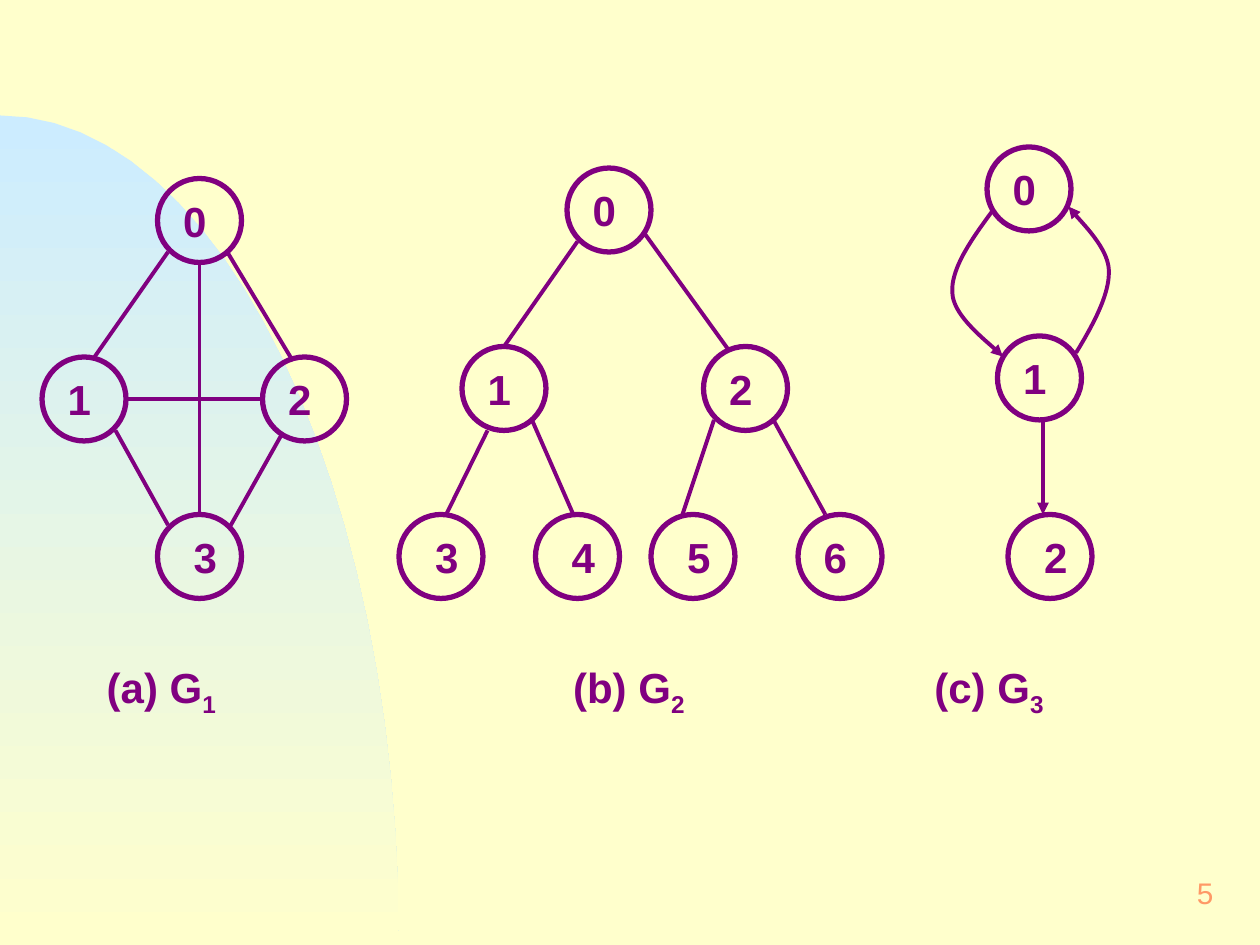
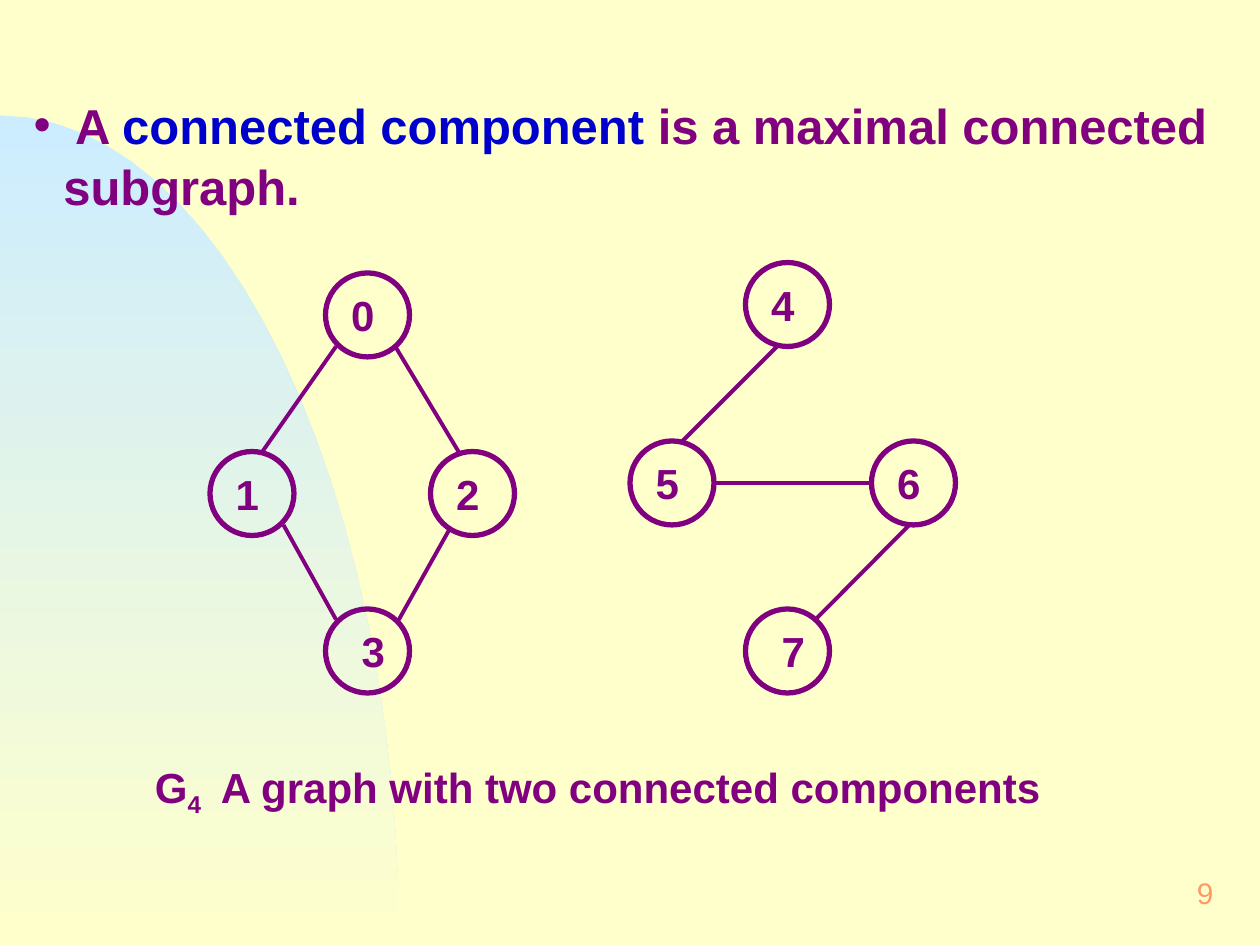
"""Build two slides of graph diagrams: three example graphs and connected components."""
from lxml import etree
from pptx import Presentation
from pptx.dml.color import RGBColor
from pptx.enum.shapes import MSO_CONNECTOR, MSO_SHAPE
from pptx.enum.text import MSO_ANCHOR, MSO_AUTO_SIZE, PP_ALIGN
from pptx.oxml.ns import qn
from pptx.util import Pt

STRAIGHT = MSO_CONNECTOR.STRAIGHT
ELLIPSE = MSO_SHAPE.OVAL
MIDDLE, TOP = MSO_ANCHOR.MIDDLE, MSO_ANCHOR.TOP
LEFT, RIGHT = PP_ALIGN.LEFT, PP_ALIGN.RIGHT
NO_AUTOFIT = MSO_AUTO_SIZE.NONE

CREAM = RGBColor(0xFF, 0xFF, 0xCC)
SKY = RGBColor(0xCC, 0xEC, 0xFF)
PURPLE = RGBColor(0x80, 0x00, 0x80)
BLUE = RGBColor(0x00, 0x00, 0xCC)
ORANGE = RGBColor(0xFF, 0x99, 0x66)

NODE_SIZE = 48
NEAR, FAR = 7.6, 13.6
CURVE_STEPS = 24
LABEL_FONT = {"name": "Arial", "size": Pt(24), "bold": True}
BODY_FONT = {"name": "Arial", "size": Pt(28), "bold": True}
NUMBER_FONT = {"name": "Arial", "size": Pt(17), "bold": False}
NO_MARGINS = {"margin_left": 0, "margin_top": 0, "margin_right": 0, "margin_bottom": 0}

DIAMOND_NODES = [("0", 90, 102, NEAR), ("1", 24, 204, NEAR),
                 ("2", 150, 204, NEAR), ("3", 90, 294, FAR)]
DIAMOND_SIDES = [(96, 144, 54, 204), (130.3, 144.7, 166.3, 204.5),
                 (66, 246, 96, 300), (161.3, 247.7, 131, 301.7)]
DIAMOND_DIAGONALS = [(114, 150, 114, 294), (150, 228, 72, 228)]
TREE_NODES = [("0", 324, 96, NEAR), ("1", 264, 198, NEAR), ("2", 402, 198, NEAR),
              ("3", 228, 294, FAR), ("4", 306, 294, FAR),
              ("5", 372, 294, FAR), ("6", 456, 294, NEAR)]
TREE_EDGES = [(330, 138, 288, 198), (368, 133, 416, 199.5), (278.6, 246, 255, 294),
              (304, 240, 327.6, 294), (408, 240, 390, 294), (442, 240, 471.6, 294)]
DIGRAPH_NODES = [("0", 564, 84, NEAR), ("1", 570, 192, NEAR), ("2", 576, 294, FAR)]
DIGRAPH_CURVES = [
    [(567.4, 120.2), (555.1, 136.8), (542.9, 154.1), (544.3, 167.8),
     (545, 182.2), (568.1, 198), (573.1, 203.8)],
    [(614.9, 201.6), (625, 185), (634.3, 167.8), (633.6, 154.1),
     (632.9, 139.7), (614.2, 123.8), (610.6, 118.1)],
]
CHAIN_NODES = [("4", 426, 150, NEAR), ("5", 360, 252, NEAR),
               ("6", 498, 252, NEAR), ("7", 426, 348, FAR)]
CHAIN_EDGES = [(444, 198, 390, 252), (408, 276, 498, 276), (519.6, 300, 466, 354)]


def apply(target, values):
    """Set each named attribute on the target."""
    for name, value in values.items():
        setattr(target, name, value)


def add_run(p, text, font, color=PURPLE, subscript=False):
    """Add a formatted run to a paragraph."""
    r = p.add_run()
    r.text = text
    apply(r.font, font)
    r.font.color.rgb = color
    if subscript:
        r.font._element.set("baseline", "-25000")


def add_text_box(slide, x, y, w, h, anchor=TOP):
    """Add a wrapping text box without margins and return its text frame."""
    tf = slide.shapes.add_textbox(Pt(x), Pt(y), Pt(w), Pt(h)).text_frame
    apply(tf, {"word_wrap": True, "vertical_anchor": anchor, **NO_MARGINS})
    return tf


def style_line(sp, width, arrow=False):
    """Colour an outline and optionally end it with an arrowhead."""
    sp.line.color.rgb = PURPLE
    sp.line.width = Pt(width)
    if arrow:
        ln = sp.line._get_or_add_ln()
        etree.SubElement(ln, qn("a:tailEnd"), type="triangle")


def add_node(slide, label, x, y, inset):
    """Add a numbered circle."""
    sp = slide.shapes.add_shape(ELLIPSE, Pt(x), Pt(y), Pt(NODE_SIZE), Pt(NODE_SIZE))
    sp.shadow.inherit = False
    sp.fill.background()
    style_line(sp, 3)
    tf = sp.text_frame
    apply(tf, {**NO_MARGINS, "margin_left": Pt(inset),
               "word_wrap": True, "vertical_anchor": MIDDLE})
    p = tf.paragraphs[0]
    p.alignment = LEFT
    add_run(p, label, LABEL_FONT)


def add_edge(slide, x1, y1, x2, y2, arrow=False):
    """Add a straight edge between two points."""
    cxn = slide.shapes.add_connector(STRAIGHT, Pt(x1), Pt(y1), Pt(x2), Pt(y2))
    style_line(cxn, 2.25, arrow)
    etree.SubElement(cxn._element.spPr, qn("a:effectLst"))


def add_graph(slide, nodes, edges, dx=0, dy=0):
    """Draw edges and nodes, shifted by an offset."""
    for x1, y1, x2, y2 in edges:
        add_edge(slide, x1 + dx, y1 + dy, x2 + dx, y2 + dy)
    for label, x, y, inset in nodes:
        add_node(slide, label, x + dx, y + dy, inset)


def bezier_points(controls):
    """Sample a chain of cubic curves that share their end points."""
    points = [controls[0]]
    for i in range(0, len(controls) - 1, 3):
        for step in range(1, CURVE_STEPS + 1):
            t = step / CURVE_STEPS
            weights = ((1 - t) ** 3, 3 * t * (1 - t) ** 2, 3 * t * t * (1 - t), t ** 3)
            quad = controls[i:i + 4]
            points.append(tuple(sum(w * c[axis] for w, c in zip(weights, quad))
                                for axis in (0, 1)))
    return points


def add_outline(slide, points, close=False):
    """Add a freeform through the points."""
    first, *rest = [(Pt(x), Pt(y)) for x, y in points]
    builder = slide.shapes.build_freeform(*first)
    builder.add_line_segments(rest, close=close)
    sp = builder.convert_to_shape()
    sp.shadow.inherit = False
    return sp


def add_curved_arrow(slide, controls):
    """Add a curved edge with an arrowhead."""
    sp = add_outline(slide, bezier_points(controls))
    sp.fill.background()
    style_line(sp, 2.25, arrow=True)


def decorate_master(prs, slide):
    """Give the master its background and its gradient arc."""
    master = prs.slide_master
    master.background.fill.solid()
    master.background.fill.fore_color.rgb = CREAM
    arc = bezier_points([(0, 66), (126, 66), (228, 278.6), (228, 540)])
    sp = add_outline(slide, arc + [(0, 540)], close=True)
    sp.line.fill.background()
    sp.fill.gradient()
    sp.fill.gradient_angle = 270
    for stop, color in zip(sp.fill.gradient_stops, (SKY, CREAM)):
        stop.color.rgb = color
    master.shapes.element.insert(2, sp.element)


def add_page_number(slide, number):
    """Add the page number at the lower right."""
    tf = add_text_box(slide, 552, 492, 141.4, 36, MIDDLE)
    p = tf.paragraphs[0]
    p.alignment = RIGHT
    add_run(p, number, NUMBER_FONT, ORANGE)


def add_caption(slide, x, y, w, name, index, description=""):
    """Add a graph name with a subscript and an optional description."""
    p = add_text_box(slide, x, y, w, 30).paragraphs[0]
    if description:
        tabs = etree.SubElement(p._p.get_or_add_pPr(), qn("a:tabLst"))
        etree.SubElement(tabs, qn("a:tab"), pos=str(Pt(37.7)), algn="l")
    add_run(p, name, LABEL_FONT)
    add_run(p, index, LABEL_FONT, subscript=True)
    if description:
        add_run(p, "\t" + description, LABEL_FONT)


def add_definition(slide, parts):
    """Fill the body placeholder with one bulleted definition."""
    title = slide.shapes.title.element
    title.getparent().remove(title)
    sp = slide.placeholders[1]
    apply(sp, {"left": Pt(12), "top": Pt(49), "width": Pt(696), "height": Pt(75)})
    tf = sp.text_frame
    apply(tf, {"auto_size": NO_AUTOFIT, "vertical_anchor": TOP, "word_wrap": True})
    p = tf.paragraphs[0]
    apply(p, {"space_before": Pt(0), "line_spacing": 1.05})
    pPr = p._p.get_or_add_pPr()
    apply_indent = {"marL": Pt(17), "indent": -Pt(17)}
    for name, value in apply_indent.items():
        pPr.set(name, str(value))
    bullet_color = etree.SubElement(pPr, qn("a:buClr"))
    etree.SubElement(bullet_color, qn("a:srgbClr"), val=str(PURPLE))
    etree.SubElement(pPr, qn("a:buChar"), char="•")
    for text, color in parts:
        add_run(p, text, BODY_FONT, color)


def build_examples(slide):
    """Draw the three example graphs."""
    add_graph(slide, DIAMOND_NODES, DIAMOND_SIDES + DIAMOND_DIAGONALS)
    add_graph(slide, TREE_NODES, TREE_EDGES)
    add_graph(slide, DIGRAPH_NODES, [])
    add_edge(slide, 596, 240, 596, 294, arrow=True)
    for controls in DIGRAPH_CURVES:
        add_curved_arrow(slide, controls)
    for index, (letter, x) in enumerate(zip("abc", (61, 327.5, 534)), 1):
        add_caption(slide, x, 378, 100, f"({letter}) G", str(index))
    add_page_number(slide, "5")


def build_components(slide):
    """Draw the graph with two connected components."""
    add_definition(slide, [(" A ", PURPLE), ("connected component", BLUE),
                           (" is a maximal connected subgraph.", PURPLE)])
    add_graph(slide, DIAMOND_NODES, DIAMOND_SIDES, dx=96, dy=54)
    add_graph(slide, CHAIN_NODES, CHAIN_EDGES)
    add_caption(slide, 88.5, 435, 540, "G", "4", "A graph with two connected components")
    add_page_number(slide, "9")


def main():
    """Build and save the presentation."""
    prs = Presentation()
    apply(prs, {"slide_width": Pt(720), "slide_height": Pt(540)})
    examples = prs.slides.add_slide(prs.slide_layouts[6])
    components = prs.slides.add_slide(prs.slide_layouts[1])
    decorate_master(prs, examples)
    build_examples(examples)
    build_components(components)
    prs.save("out.pptx")


if __name__ == "__main__":
    main()
